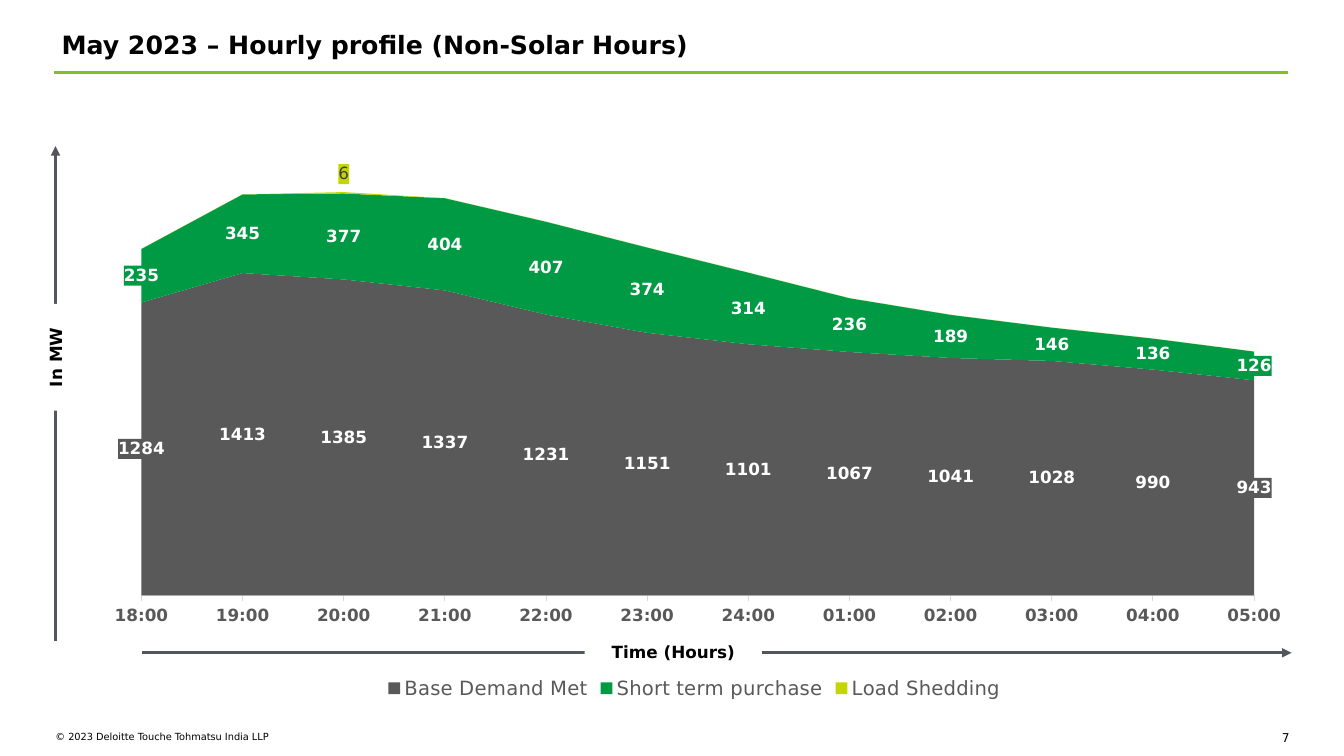
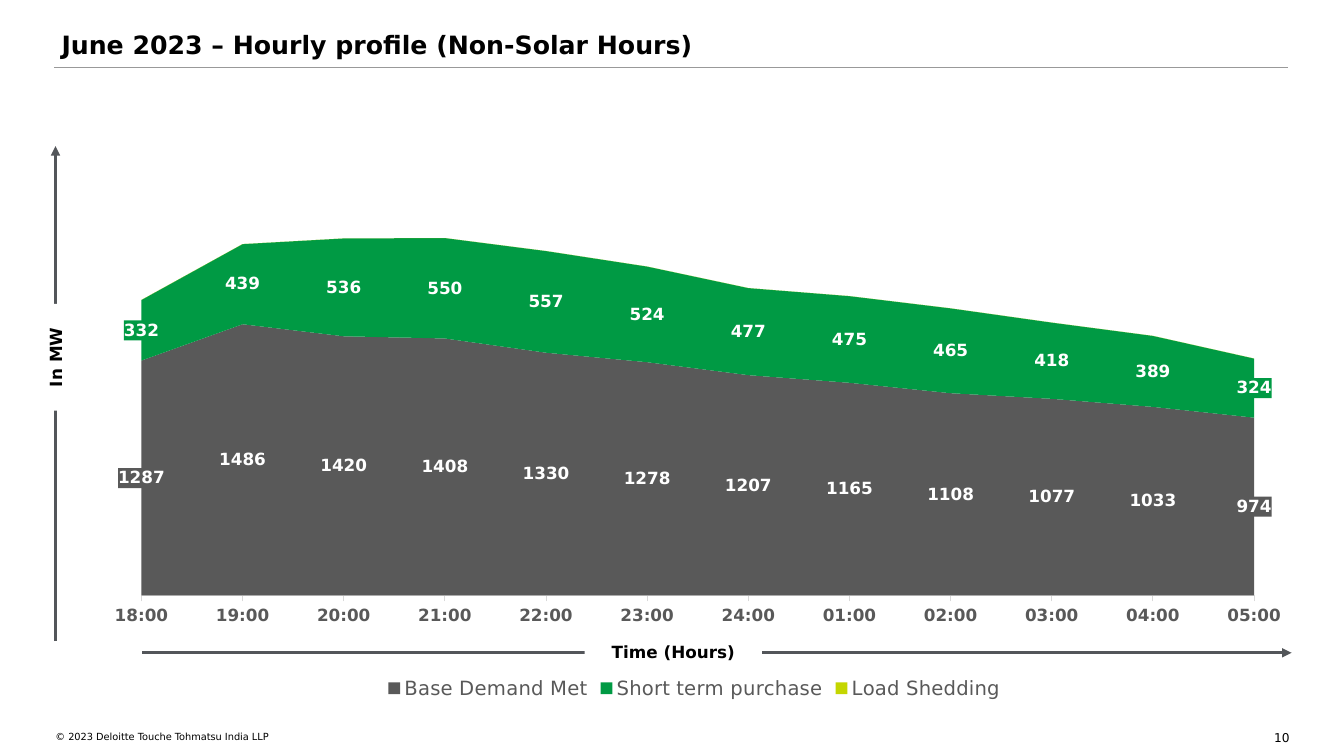
import pptx
import pptx.chart.data
import pptx.dml.color
import pptx.enum.chart
import pptx.enum.dml
import pptx.enum.shapes
import pptx.enum.text
import pptx.oxml
import pptx.oxml.ns
import pptx.util

FONT = "DejaVu Sans"
COLOURS = {
    name: pptx.dml.color.RGBColor.from_string(value)
    for name, value in {
        "black": "000000", "white": "FFFFFF", "arrow": "53565A",
        "accent": "86BC25", "rule": "999999", "axis": "D9D9D9",
        "grey": "595959", "green": "009A44", "lime": "C4D600", "dark": "404040",
    }.items()
}
NAMESPACES = pptx.oxml.ns.nsdecls("a", "c")
HOURS = [f"{hour:02}:00" for hour in [*range(18, 25), *range(1, 6)]]
SERIES = [("Base Demand Met", "grey"), ("Short term purchase", "green"), ("Load Shedding", "lime")]
PROFILES = [
    {
        "month": "May", "page": "7", "rule": (9.6, "accent", 1.5), "maximum": 2000,
        "values": [
            [1284, 1413, 1385, 1337, 1231, 1151, 1101, 1067, 1041, 1028, 990, 943],
            [235, 345, 377, 404, 407, 374, 314, 236, 189, 146, 136, 126],
            [0, 0, 6, 0, 0, 0, 0, 0, 0, 0, 0, 0],
        ],
    },
    {
        "month": "June", "page": "10", "rule": (8.93, "rule", 0.75), "maximum": 2500,
        "values": [
            [1287, 1486, 1420, 1408, 1330, 1278, 1207, 1165, 1108, 1077, 1033, 974],
            [332, 439, 536, 550, 557, 524, 477, 475, 465, 418, 389, 324],
            [0] * 12,
        ],
    },
]

presentation = pptx.Presentation()
presentation.slide_width = pptx.util.Inches(13.33)
presentation.slide_height = pptx.util.Inches(7.5)


def place(*shares):
    """Turn alternating percentages of slide width and height into lengths."""
    sizes = (presentation.slide_width, presentation.slide_height) * 2
    return [round(size * share / 100) for size, share in zip(sizes, shares)]


def add_text(slide, text, area, size, bold=False, align="LEFT"):
    shape = slide.shapes.add_textbox(*place(*area))
    frame = shape.text_frame
    frame.word_wrap = True
    frame.margin_left = frame.margin_right = frame.margin_top = frame.margin_bottom = 0
    paragraph = frame.paragraphs[0]
    paragraph.alignment = getattr(pptx.enum.text.PP_ALIGN, align)
    run = paragraph.add_run()
    run.text = text
    run.font.name, run.font.size, run.font.bold = FONT, pptx.util.Pt(size), bold
    run.font.color.rgb = COLOURS["black"]
    return shape


for profile in PROFILES:
    slide = presentation.slides.add_slide(presentation.slide_layouts[6])
    add_text(slide, "© 2023 Deloitte Touche Tohmatsu India LLP", (4.13, 96.67, 43.96, 2.93), 7)
    add_text(slide, profile["page"], (93.4, 96.67, 2.55, 1.47), 8.7, align="RIGHT")
    title = f"{profile['month']} 2023 – Hourly profile (Non-Solar Hours)"
    add_text(slide, title, (4.58, 3.87, 91.6, 5.07), 18, bold=True)

    # Title rule and the two axis arrows
    rule_top, rule_colour, rule_weight = profile["rule"]
    for ends, colour, weight, arrow in [
        ((4.05, rule_top, 95.87, rule_top), rule_colour, rule_weight, False),
        ((10.6, 86.35, 96.1, 86.35), "arrow", 2.25, True),
        ((4.13, 84.8, 4.13, 19.33), "arrow", 2.25, True),
    ]:
        line = slide.shapes.add_connector(pptx.enum.shapes.MSO_CONNECTOR.STRAIGHT, *place(*ends))
        line.line.color.rgb = COLOURS[colour]
        line.line.width = pptx.util.Pt(weight)
        properties = line._element.spPr
        if arrow:
            properties.find(pptx.oxml.ns.qn("a:ln")).append(
                pptx.oxml.parse_xml(f'<a:tailEnd {NAMESPACES} type="triangle"/>'))
        properties.append(pptx.oxml.parse_xml(f"<a:effectLst {NAMESPACES}/>"))

    # Axis names interrupt the arrows
    for text, area, rotation in [
        ("Time (Hours)", (43.5, 84.53, 13.2, 3.47), 0),
        ("In MW", (0.15, 44.53, 7.95, 5.47), 270),
    ]:
        axis_name = add_text(slide, text, area, 12, bold=True, align="CENTER")
        axis_name.text_frame.vertical_anchor = pptx.enum.text.MSO_ANCHOR.MIDDLE
        axis_name.fill.solid()
        axis_name.fill.fore_color.rgb = COLOURS["white"]
        axis_name.rotation = rotation

    chart_data = pptx.chart.data.CategoryChartData(number_format="0")
    chart_data.categories = HOURS
    for (name, _), values in zip(SERIES, profile["values"]):
        chart_data.add_series(name, values)
    chart = slide.shapes.add_chart(
        pptx.enum.chart.XL_CHART_TYPE.AREA_STACKED, *place(7.43, 10.3, 88.45, 82.8), chart_data
    ).chart
    chart.has_title = False
    chart.font.name, chart.font.size = FONT, pptx.util.Pt(10)
    chart.has_legend = True
    chart.legend.position = pptx.enum.chart.XL_LEGEND_POSITION.BOTTOM
    chart.legend.include_in_layout = False
    chart.legend.font.name, chart.legend.font.size = FONT, pptx.util.Pt(14)
    chart.legend.font.color.rgb = COLOURS["grey"]

    hours_axis, load_axis = chart.category_axis, chart.value_axis
    hours_axis.has_major_gridlines = load_axis.has_major_gridlines = False
    hours_axis.major_tick_mark = pptx.enum.chart.XL_TICK_MARK.OUTSIDE
    hours_axis.format.line.color.rgb = COLOURS["axis"]
    hours_axis.format.line.width = pptx.util.Pt(0.75)
    font = hours_axis.tick_labels.font
    font.name, font.size, font.bold = FONT, pptx.util.Pt(12), True
    font.color.rgb = COLOURS["grey"]
    load_axis.visible = False
    load_axis.minimum_scale, load_axis.maximum_scale = 0, profile["maximum"]
    load_axis._element.find(pptx.oxml.ns.qn("c:crossBetween")).set("val", "midCat")

    plot_area = chart._chartSpace.chart.plotArea
    for layout in plot_area.findall(pptx.oxml.ns.qn("c:layout")):
        plot_area.remove(layout)
    plot_area.insert(0, pptx.oxml.parse_xml(
        f'<c:layout {NAMESPACES}><c:manualLayout><c:layoutTarget val="inner"/>'
        '<c:xMode val="edge"/><c:yMode val="edge"/><c:x val="0.035"/><c:y val="0.098"/>'
        '<c:w val="0.936"/><c:h val="0.729"/></c:manualLayout></c:layout>'))

    for series, (name, colour) in zip(chart.plots[0].series, SERIES):
        series.format.fill.solid()
        series.format.fill.fore_color.rgb = COLOURS[colour]
        shedding = name == "Load Shedding"
        if shedding and not any(series.values):
            continue
        labels = series.data_labels
        labels.show_value = not shedding
        element = labels._element
        font = labels.font
        if shedding:
            # Only the peak is labelled, lifted clear of the thin band
            peak = series.values.index(max(series.values))
            font = series.points[peak].data_label.font
            element = element.find(pptx.oxml.ns.qn("c:dLbl"))
            element.find(pptx.oxml.ns.qn("c:idx")).addnext(pptx.oxml.parse_xml(
                f'<c:layout {NAMESPACES}><c:manualLayout><c:x val="0"/><c:y val="-0.03"/>'
                "</c:manualLayout></c:layout>"))
        else:
            labels.number_format, labels.number_format_is_linked = "0", False
        font.name, font.size, font.bold = FONT, pptx.util.Pt(12), not shedding
        font.color.rgb = COLOURS["dark" if shedding else "white"]
        element.find(pptx.oxml.ns.qn("c:txPr")).addprevious(pptx.oxml.parse_xml(
            f'<c:spPr {NAMESPACES}><a:solidFill><a:srgbClr val="{COLOURS[colour]}"/>'
            "</a:solidFill></c:spPr>"))

presentation.save("out.pptx")
